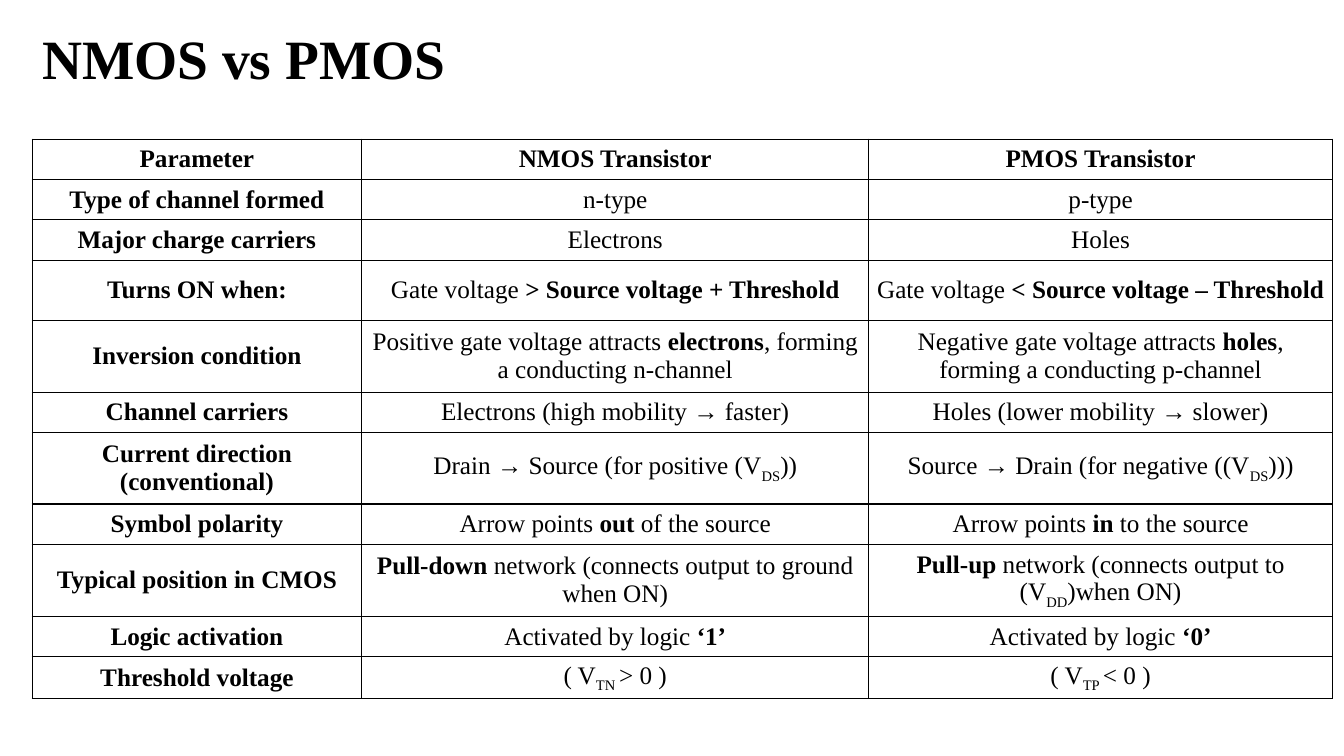
from dataclasses import dataclass

from lxml import etree
from pptx import Presentation
from pptx.dml.color import RGBColor
from pptx.enum.text import MSO_ANCHOR, PP_ALIGN
from pptx.oxml.ns import qn
from pptx.slide import Slide
from pptx.table import _Cell
from pptx.text.text import _Paragraph
from pptx.util import Pt

CENTER = PP_ALIGN.CENTER
MIDDLE = MSO_ANCHOR.MIDDLE
TOP = MSO_ANCHOR.TOP


@dataclass(frozen=True)
class Theme:
    font: str = "Times New Roman"
    ink: str = "000000"
    paper: str = "FFFFFF"
    title: float = 39.6
    body: float = 18
    line: float = 1


@dataclass(frozen=True)
class Row:
    label: str
    nmos: str
    pmos: str
    high: float = 28.8


THEME = Theme()
WIDTHS = (235.4, 362.2, 331.2)
TALL = 51.1
ROWS = (
    Row("Parameter", "*NMOS Transistor*", "*PMOS Transistor*"),
    Row("Type of channel formed", "n-type", "p-type"),
    Row("Major charge carriers", "Electrons", "Holes"),
    Row("Turns ON when:", "Gate voltage *> Source voltage + Threshold*",
        "Gate voltage *< Source voltage – Threshold*", 43.2),
    Row("Inversion condition",
        "Positive gate voltage attracts *electrons*, forming a conducting n-channel",
        "Negative gate voltage attracts *holes*, forming a conducting p-channel", TALL),
    Row("Channel carriers", "Electrons (high mobility → faster)",
        "Holes (lower mobility → slower)"),
    Row("Current direction (conventional)", "Drain → Source (for positive (V_DS_))",
        "Source → Drain (for negative ((V_DS_)))", TALL),
    Row("Symbol polarity", "Arrow points *out* of the source",
        "Arrow points *in* to the source"),
    Row("Typical position in CMOS",
        "*Pull-down* network (connects output to ground when ON)",
        "*Pull-up* network (connects output to (V_DD_)when ON)", TALL),
    Row("Logic activation", "Activated by logic *‘1’*", "Activated by logic *‘0’*"),
    Row("Threshold voltage", "( V_TN _> 0 )", "( V_TP _< 0 )"),
)


def write(para: _Paragraph, text: str, size: float) -> None:
    """Write centred text, with *bold* and _subscript_ marks."""
    para.alignment = CENTER
    para.font.name = THEME.font
    para.font.size = Pt(size)
    para.font.color.rgb = RGBColor.from_string(THEME.ink)
    parts = [
        (piece, i % 2 == 1, j % 2 == 1)
        for i, part in enumerate(text.split("*"))
        for j, piece in enumerate(part.split("_"))
        if piece
    ]
    bolds = {bold for _, bold, _ in parts}
    if len(bolds) == 1:
        para.font.bold = parts[0][1]
    for piece, bold, sub in parts:
        run = para.add_run()
        run.text = piece
        if len(bolds) > 1:
            run.font.bold = bold
        if sub:
            run._r.get_or_add_rPr().set("baseline", "-25000")


def edge(cell: _Cell) -> None:
    """Draw a thin line on all four sides of a cell."""
    props = cell._tc.get_or_add_tcPr()
    for side in ("a:lnL", "a:lnR", "a:lnT", "a:lnB"):
        line = etree.SubElement(props, qn(side), w=str(Pt(THEME.line)))
        fill = etree.SubElement(line, qn("a:solidFill"))
        etree.SubElement(fill, qn("a:srgbClr"), val=THEME.ink)


def add_title(slide: Slide, text: str) -> None:
    """Add the slide heading."""
    box = slide.shapes.add_textbox(Pt(-239.8), Pt(21.6), Pt(828), Pt(89.3))
    frame = box.text_frame
    frame.word_wrap = True
    frame.vertical_anchor = TOP
    frame.margin_top = Pt(1)
    para = frame.paragraphs[0]
    para.line_spacing = 0.9
    write(para, f"*{text}*", THEME.title)


def add_grid(slide: Slide, rows: tuple[Row, ...]) -> None:
    """Add the table that compares the two transistors."""
    high = sum(row.high for row in rows)
    grid = slide.shapes.add_table(
        len(rows), len(WIDTHS), Pt(23), Pt(99.4), Pt(sum(WIDTHS)), Pt(high)
    ).table
    grid.first_row = grid.horz_banding = False
    for col, width in zip(grid.columns, WIDTHS):
        col.width = Pt(width)
    for line, row in zip(grid.rows, rows):
        line.height = Pt(row.high)
        for cell, text in zip(line.cells, (f"*{row.label}*", row.nmos, row.pmos)):
            edge(cell)
            cell.fill.solid()
            cell.fill.fore_color.rgb = RGBColor.from_string(THEME.paper)
            cell.vertical_anchor = MIDDLE
            cell.margin_left = cell.margin_right = Pt(5.4)
            cell.margin_top = cell.margin_bottom = Pt(2.7)
            write(cell.text_frame.paragraphs[0], text, THEME.body)


def main() -> None:
    """Build the slide and save it."""
    deck = Presentation()
    deck.slide_width, deck.slide_height = Pt(960), Pt(540)
    slide = deck.slides.add_slide(deck.slide_layouts[6])
    add_title(slide, "NMOS vs PMOS")
    add_grid(slide, ROWS)
    deck.save("out.pptx")


if __name__ == "__main__":
    main()
